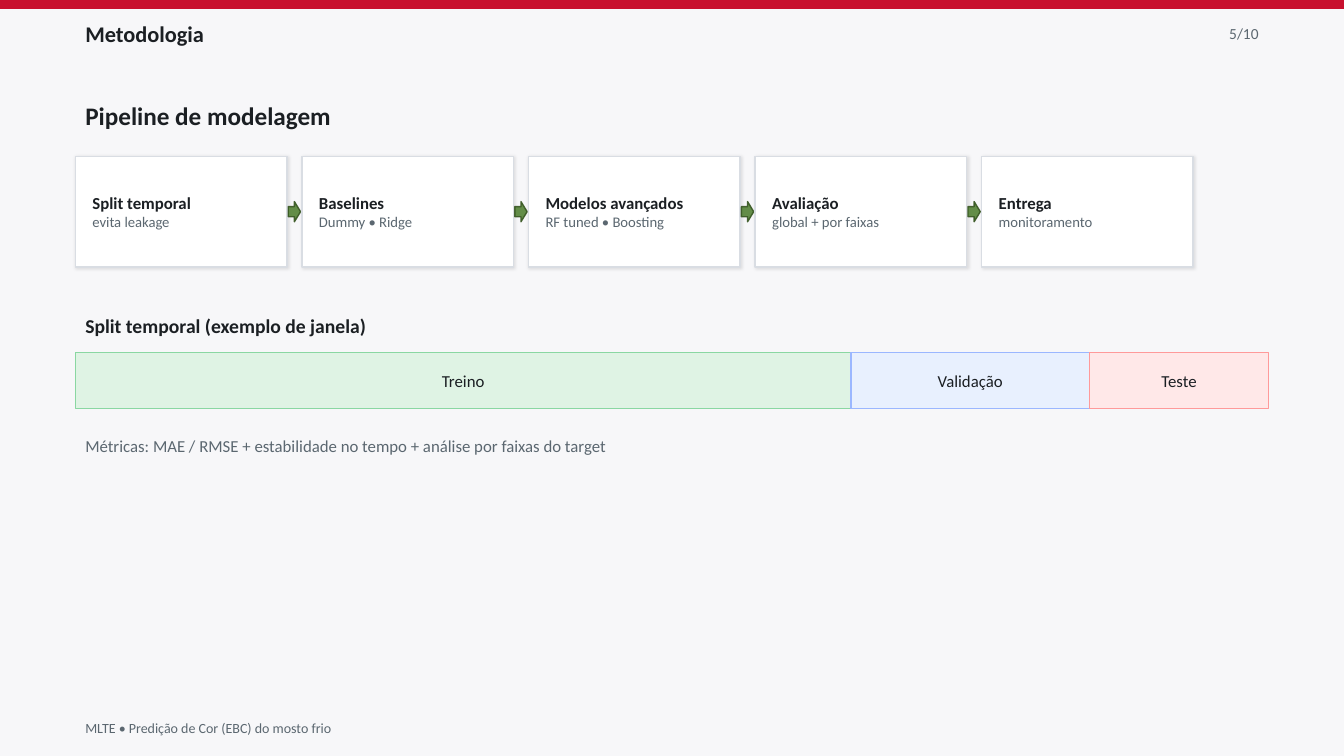
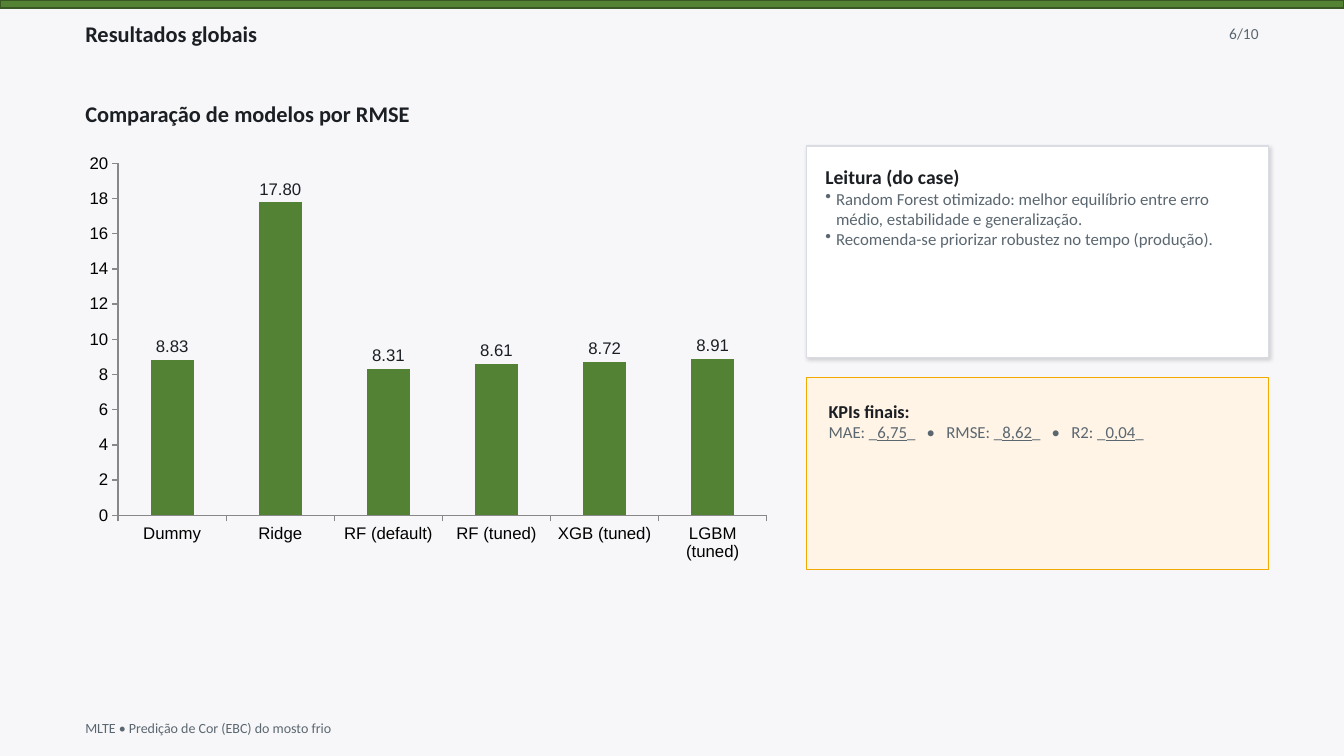
from lxml import etree
from pptx import Presentation
from pptx.chart.data import CategoryChartData
from pptx.dml.color import RGBColor
from pptx.enum.chart import XL_CHART_TYPE, XL_LABEL_POSITION, XL_TICK_MARK
from pptx.enum.shapes import MSO_SHAPE
from pptx.enum.text import MSO_ANCHOR, PP_ALIGN
from pptx.oxml.ns import qn
from pptx.util import Cm, Pt

RECT, ARROW = MSO_SHAPE.RECTANGLE, MSO_SHAPE.RIGHT_ARROW
LEFT, CENTER, RIGHT = PP_ALIGN.LEFT, PP_ALIGN.CENTER, PP_ALIGN.RIGHT
TOP, MIDDLE = MSO_ANCHOR.TOP, MSO_ANCHOR.MIDDLE
COLUMN = XL_CHART_TYPE.COLUMN_CLUSTERED
LABEL_ABOVE = XL_LABEL_POSITION.OUTSIDE_END
TICK_OUT = XL_TICK_MARK.OUTSIDE

COLORS = {
    "bg": "F7F7F9", "ink": "1B1F23", "muted": "5B6770", "black": "000000",
    "white": "FFFFFF", "border": "D9DDE3", "axis": "888888",
    "red": "C8102E", "green": "548235", "dark_green": "385723",
    "train": "DFF3E4", "train_line": "8AD7A2",
    "valid": "E8F0FE", "valid_line": "9BB7FF",
    "test": "FFE8E8", "test_line": "FF9A9A",
    "kpi": "FFF4E6", "kpi_line": "F2A900",
}
PAGE_W, PAGE_H = 33.87, 19.05
MARGIN = 1.9
CONTENT_W = PAGE_W - 2 * MARGIN
PAGE_COUNT = 10
FOOTER = "MLTE • Predição de Cor (EBC) do mosto frio"


def rgb(name):
    return RGBColor.from_string(COLORS[name])


def style(size, color="ink", **extra):
    return {"size": Pt(size), "color": color, "name": "Calibri", **extra}


def set_font(font, fmt):
    for key, value in fmt.items():
        if key == "color":
            font.color.rgb = rgb(value)
        else:
            setattr(font, key, value)


def set_alpha(fill, percent):
    """Set the opacity of a solid fill."""
    clr = fill._xPr.find(qn("a:solidFill"))[0]
    etree.SubElement(clr, qn("a:alpha"), val=str(percent * 1000))


class Deck:
    def __init__(self):
        self.prs = Presentation()
        self.prs.slide_width, self.prs.slide_height = Cm(PAGE_W), Cm(PAGE_H)
        fill = self.prs.slide_master.background.fill
        fill.solid()
        fill.fore_color.rgb = rgb("bg")
        self.slide = None

    def new_slide(self, title, number, band, band_line):
        self.slide = self.prs.slides.add_slide(self.prs.slide_layouts[6])
        self.box((0, 0, PAGE_W, 0.2), band, band_line)
        self.text((MARGIN, 0.41, 27, 0.89), title, style(16, bold=True))
        self.text((MARGIN + CONTENT_W - 2.8, 0.46, 2.8, 0.76),
                  f"{number}/{PAGE_COUNT}", style(11, "muted"), RIGHT)
        self.text((MARGIN, 18.03, CONTENT_W, 0.64), FOOTER, style(10, "muted"))

    def put_text(self, sp, paragraphs, align=LEFT, anchor=MIDDLE, inset=None):
        """Fill a shape with paragraphs, each a list of (text, format) runs."""
        tf = sp.text_frame
        tf.word_wrap, tf.vertical_anchor = True, anchor
        if inset is not None:
            for side in ("left", "top", "right", "bottom"):
                setattr(tf, f"margin_{side}", Cm(inset))
        for i, runs in enumerate(paragraphs):
            p = tf.paragraphs[0] if i == 0 else tf.add_paragraph()
            p.alignment = align
            for text, fmt in runs:
                r = p.add_run()
                r.text = text
                set_font(r.font, fmt)
        return tf.paragraphs

    def text(self, area, text, fmt, align=LEFT):
        sp = self.slide.shapes.add_textbox(*map(Cm, area))
        self.put_text(sp, [[(text, fmt)]], align)

    def box(self, area, fill, line, kind=RECT, alpha=None):
        sp = self.slide.shapes.add_shape(kind, *map(Cm, area))
        sp.shadow.inherit = False
        sp.fill.solid()
        sp.fill.fore_color.rgb = rgb(fill)
        sp.line.color.rgb = rgb(line)
        sp.line.width = Pt(1)
        if alpha:
            set_alpha(sp.fill, alpha)
            set_alpha(sp.line.fill, alpha)
        return sp

    def card(self, area, alpha, blur, dist):
        """Add a white box with a soft shadow to the lower right."""
        sp = self.box(area, "white", "border")
        effects = sp._element.spPr.find(qn("a:effectLst"))
        shadow = etree.SubElement(
            effects, qn("a:outerShdw"), blurRad=str(Pt(blur)),
            dist=str(Pt(dist)), dir=str(45 * 60000), algn="tl", rotWithShape="0")
        clr = etree.SubElement(shadow, qn("a:srgbClr"), val=COLORS["black"])
        etree.SubElement(clr, qn("a:alpha"), val=str(alpha * 1000))
        return sp

    def bullet(self, p, hang=0.27):
        pPr = p._p.get_or_add_pPr()
        pPr.set("marL", str(Cm(hang)))
        pPr.set("indent", str(-Cm(hang)))
        etree.SubElement(pPr, qn("a:buChar"), char="•")

    def tab_stops(self, p, stops):
        tabs = etree.SubElement(p._p.get_or_add_pPr(), qn("a:tabLst"))
        for stop in stops:
            etree.SubElement(tabs, qn("a:tab"), pos=str(Cm(stop)), algn="l")

    def column_chart(self, area, values, top, step):
        data = CategoryChartData()
        data.categories = list(values)
        data.add_series("Series 1", list(values.values()))
        chart = self.slide.shapes.add_chart(COLUMN, *map(Cm, area), data).chart
        chart.has_legend = chart.has_title = False
        set_font(chart.font, style(10, "black"))
        for axis in (chart.category_axis, chart.value_axis):
            axis.has_major_gridlines = False
            axis.major_tick_mark = TICK_OUT
            axis.format.line.color.rgb = rgb("axis")
            axis.format.line.width = Pt(1)
            set_font(axis.tick_labels.font, style(12, "black", name="Arial"))
        axis = chart.value_axis
        axis.minimum_scale, axis.maximum_scale, axis.major_unit = 0, top, step

        plot = chart.plots[0]
        plot.gap_width, plot.vary_by_categories = 150, False
        fill = plot.series[0].format.fill
        fill.solid()
        fill.fore_color.rgb = rgb("green")
        plot.has_data_labels = True
        labels = plot.data_labels
        for key, value in {"show_value": True, "position": LABEL_ABOVE,
                           "number_format": "0.00",
                           "number_format_is_linked": False}.items():
            setattr(labels, key, value)
        set_font(labels.font, style(12, name="Arial"))


def methodology(deck):
    deck.new_slide("Metodologia", 5, "red", "red")
    deck.text((MARGIN, 2.41, CONTENT_W, 1.02), "Pipeline de modelagem",
              style(18, bold=True))
    steps = [("Split temporal", "evita leakage"),
             ("Baselines", "Dummy • Ridge"),
             ("Modelos avançados", "RF tuned • Boosting"),
             ("Avaliação", "global + por faixas"),
             ("Entrega", "monitoramento")]
    top, width, height, gap = 3.94, 5.33, 2.79, 0.38
    arrow_w, arrow_h = 0.31, 0.51
    for i, (name, detail) in enumerate(steps):
        x = MARGIN + i * (width + gap)
        if i:
            deck.box((x - (gap + arrow_w) / 2, top + (height - arrow_h) / 2,
                      arrow_w, arrow_h), "green", "dark_green", ARROW, alpha=90)
        sp = deck.card((x, top, width, height), alpha=10, blur=2, dist=1)
        deck.put_text(sp, [[(name, style(12, bold=True))],
                           [(detail, style(10.5, "muted"))]], inset=0.43)

    deck.text((MARGIN, 7.75, CONTENT_W, 0.89),
              "Split temporal (exemplo de janela)", style(14, bold=True))
    x = MARGIN
    for name, share, color in [("Treino", 0.65, "train"),
                               ("Validação", 0.2, "valid"),
                               ("Teste", 0.15, "test")]:
        width = CONTENT_W * share
        sp = deck.box((x, 8.89, width, 1.4), color, f"{color}_line")
        deck.put_text(sp, [[(name, style(12))]], CENTER)
        x += width
    deck.text((MARGIN, 10.8, CONTENT_W, 0.89),
              "Métricas: MAE / RMSE + estabilidade no tempo + "
              "análise por faixas do target", style(12, "muted"))


def results(deck):
    deck.new_slide("Resultados globais", 6, "green", "dark_green")
    deck.text((MARGIN, 2.41, CONTENT_W, 0.89), "Comparação de modelos por RMSE",
              style(16, bold=True))
    top, height = 3.68, 10.67
    rmse = {"Dummy": 8.83, "Ridge": 17.8, "RF (default)": 8.31,
            "RF (tuned)": 8.61, "XGB (tuned)": 8.72, "LGBM (tuned)": 8.91}
    deck.column_chart((MARGIN, top, 17.78, height), rmse, top=20, step=2)

    x, card_h, kpi_h = 20.32, 5.33, 4.83
    width = MARGIN + CONTENT_W - x
    body = style(12, "muted")
    sp = deck.card((x, top, width, card_h), alpha=14, blur=3, dist=1.5)
    _, *points = deck.put_text(sp, [
        [("Leitura (do case)", style(14, bold=True))],
        [("Random Forest otimizado: melhor equilíbrio entre erro médio, "
          "estabilidade e generalização.", body)],
        [("Recomenda-se priorizar robustez no tempo (produção).", body)],
    ], anchor=TOP, inset=0.48)
    for p in points:
        deck.bullet(p)

    kpis = []
    for name, value in [("MAE", "6,75"), ("RMSE", "8,62"), ("R2", "0,04")]:
        lead = "\t•\t" if kpis else ""
        kpis += [(f"{lead}{name}: _", body),
                 (value, {**body, "underline": True}), ("_", body)]
    sp = deck.box((x, top + height - kpi_h, width, kpi_h), "kpi", "kpi_line")
    _, p = deck.put_text(sp, [[("KPIs finais:", style(13, bold=True))], kpis],
                         anchor=TOP, inset=0.56)
    deck.tab_stops(p, (2.47, 2.97, 5.62, 6.12))


def main():
    deck = Deck()
    methodology(deck)
    results(deck)
    deck.prs.save("out.pptx")


if __name__ == "__main__":
    main()
